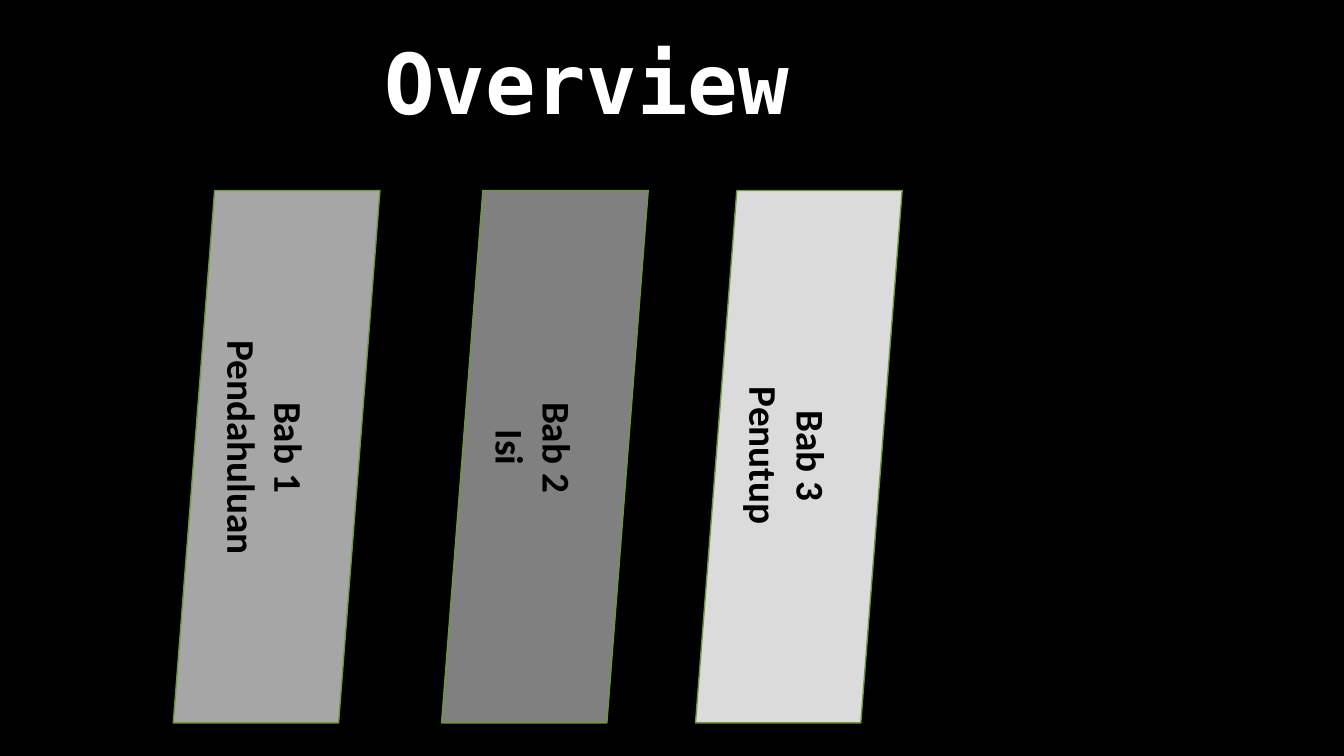
from dataclasses import dataclass

from pptx import Presentation
from pptx.dml.color import RGBColor
from pptx.enum.shapes import MSO_SHAPE
from pptx.enum.text import MSO_ANCHOR, MSO_AUTO_SIZE, PP_ALIGN
from pptx.util import Pt


@dataclass(frozen=True)
class Theme:
    background: str = "000000"
    title_color: str = "FFFFFF"
    label_color: str = "000000"
    outline: str = "6C9A3B"
    title_font: str = "DejaVu Sans Mono"
    label_font: str = "Calibri"
    title_size: int = 60
    label_size: int = 28


@dataclass(frozen=True)
class Chapter:
    lines: tuple
    fill: str
    panel_left: float
    label_center: tuple
    label_width: float


THEME = Theme()
PANEL_TOP, PANEL_WIDTH, PANEL_HEIGHT = 136.1, 147.6, 380.2
LABEL_HEIGHT = 75
CHAPTERS = (
    Chapter(("Bab 1", "Pendahuluan"), "A6A6A6", 123.8, (190, 319.7), 172.8),
    Chapter(("Bab 2", "Isi"), "808080", 315.4, (381.6, 319.7), 256.3),
    Chapter(("Bab 3", "Penutup"), "DBDBDB", 496.8, (563, 325.4), 116.6),
)


def style_paragraph(para, font_name, size, color):
    para.alignment = PP_ALIGN.CENTER
    para.font.name = font_name
    para.font.size = Pt(size)
    para.font.bold = True
    para.font.color.rgb = RGBColor.from_string(color)


def set_title(page, text):
    title = page.shapes.title
    title.left, title.top, title.width, title.height = Pt(59), Pt(8.6), Pt(720), Pt(90)
    frame = title.text_frame
    frame.text = text
    frame.vertical_anchor = MSO_ANCHOR.BOTTOM
    para = frame.paragraphs[0]
    para.line_spacing = 0.9
    style_paragraph(para, THEME.title_font, THEME.title_size, THEME.title_color)


def add_panel(page, chapter):
    panel = page.shapes.add_shape(
        MSO_SHAPE.FLOWCHART_DATA,
        Pt(chapter.panel_left), Pt(PANEL_TOP), Pt(PANEL_WIDTH), Pt(PANEL_HEIGHT),
    )
    panel.shadow.inherit = False
    panel.fill.solid()
    panel.fill.fore_color.rgb = RGBColor.from_string(chapter.fill)
    panel.line.color.rgb = RGBColor.from_string(THEME.outline)
    panel.line.width = Pt(1)


def add_label(page, chapter):
    center_x, center_y = chapter.label_center
    box = page.shapes.add_textbox(
        Pt(center_x - chapter.label_width / 2), Pt(center_y - LABEL_HEIGHT / 2),
        Pt(chapter.label_width), Pt(LABEL_HEIGHT),
    )
    box.rotation = 90
    frame = box.text_frame
    frame.word_wrap = False
    frame.auto_size = MSO_AUTO_SIZE.SHAPE_TO_FIT_TEXT
    frame.text = "\n".join(chapter.lines)
    for para in frame.paragraphs:
        style_paragraph(para, THEME.label_font, THEME.label_size, THEME.label_color)


def main():
    deck = Presentation()
    deck.slide_width, deck.slide_height = Pt(960), Pt(540)
    page = deck.slides.add_slide(deck.slide_layouts[5])
    page.background.fill.solid()
    page.background.fill.fore_color.rgb = RGBColor.from_string(THEME.background)
    set_title(page, "Overview")
    for chapter in CHAPTERS:
        add_panel(page, chapter)
        add_label(page, chapter)
    deck.save("out.pptx")


if __name__ == "__main__":
    main()
